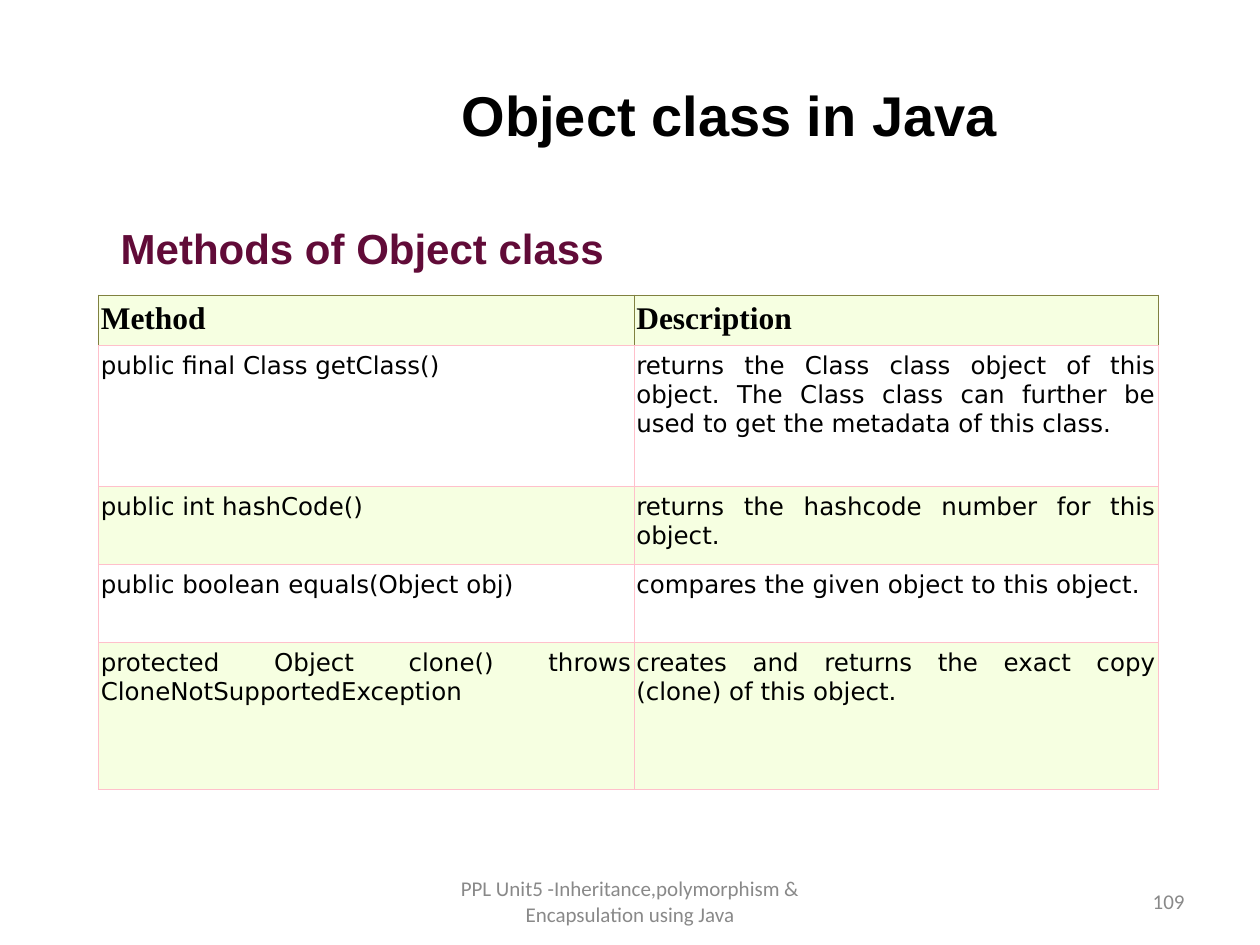
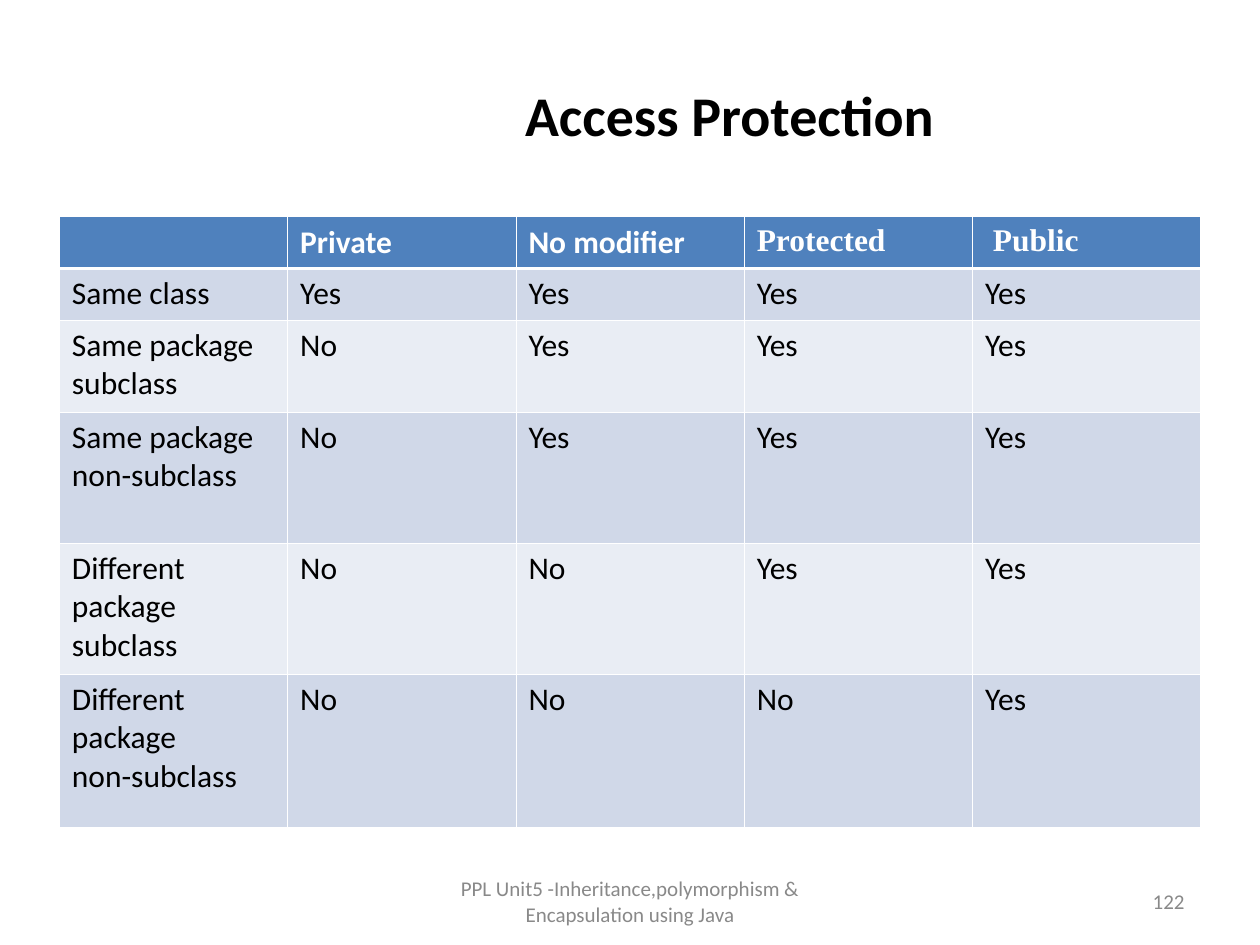
from lxml import etree
from pptx import Presentation
from pptx.dml.color import RGBColor
from pptx.enum import text
from pptx.oxml import ns
from pptx.util import Pt

COLOURS = {
    "black": "000000", "white": "FFFFFF", "footer": "898989", "plum": "610B38",
    "cream": "F6FFE1", "olive": "808140", "pink": "FFC0CB",
    "blue": "4F81BD", "blue band": "D0D8E8", "pale band": "E9EDF4",
}
ALIGN, ANCHOR = text.PP_ALIGN, text.MSO_ANCHOR
FOOTER = "PPL Unit5 -Inheritance,polymorphism & Encapsulation using Java"

FORMATS = {
    "title": {"name": "Arial", "size": 32, "bold": True, "colour": "black"},
    "subtitle": {"name": "Arial", "size": 24, "bold": True, "colour": "plum"},
    "footer": {"name": "Calibri", "size": 12, "bold": False, "colour": "footer"},
    "method header": {"name": "Times New Roman", "size": 18, "bold": True, "colour": "black"},
    "method": {"name": "DejaVu Sans", "size": 14, "bold": False, "colour": "black"},
    "access header": {"name": "Calibri", "size": 18, "bold": True, "colour": "white"},
    "access": {"name": "Calibri", "size": 18, "bold": False, "colour": "black"},
}

METHODS = [
    ("Method", "Description"),
    ("public final Class getClass()",
     "returns the Class class object of this object. The Class class can further "
     "be used to get the metadata of this class."),
    ("public int hashCode()", "returns the hashcode number for this object."),
    ("public boolean equals(Object obj)", "compares the given object to this object."),
    ("protected Object clone() throws CloneNotSupportedException",
     "creates and returns the exact copy (clone) of this object."),
]
ACCESS = [
    ("", "Private", "No modifier", "Protected", "Public"),
    ("Same class", "Yes", "Yes", "Yes", "Yes"),
    ("Same package\nsubclass", "No", "Yes", "Yes", "Yes"),
    ("Same package\nnon-subclass", "No", "Yes", "Yes", "Yes"),
    ("Different\npackage\nsubclass", "No", "No", "Yes", "Yes"),
    ("Different\npackage\nnon-subclass", "No", "No", "No", "Yes"),
]


def format_text(frame, format_name, align=ALIGN.LEFT, **changes):
    values = {**FORMATS[format_name], **changes}
    colour = RGBColor.from_string(COLOURS[values.pop("colour")])
    values["size"] = Pt(values["size"])
    for paragraph in frame.paragraphs:
        paragraph.alignment = align
        for font in [paragraph.font] + [run.font for run in paragraph.runs]:
            for name, value in values.items():
                setattr(font, name, value)
            font.color.rgb = colour


def add_text(slide, words, box, format_name, align, anchor=ANCHOR.MIDDLE):
    frame = slide.shapes.add_textbox(*map(Pt, box)).text_frame
    frame.text = words
    frame.word_wrap = True
    frame.vertical_anchor = anchor
    format_text(frame, format_name, align)


def add_slide(presentation, title, number, **title_changes):
    slide = presentation.slides.add_slide(presentation.slide_layouts[5])
    shape = slide.shapes.title
    shape.left, shape.top, shape.width, shape.height = map(Pt, (150.5, 20, 533, 90))
    shape.text_frame.text = title
    shape.text_frame.vertical_anchor = ANCHOR.MIDDLE
    format_text(shape.text_frame, "title", ALIGN.CENTER, **title_changes)
    add_text(slide, FOOTER, (246, 500.5, 228, 28.8), "footer", ALIGN.CENTER)
    add_text(slide, str(number), (516, 500.5, 168, 28.8), "footer", ALIGN.RIGHT)
    return slide


def set_borders(cell, **sides):
    """Draw each side (L, R, T, B) from a (colour, width) pair."""
    properties = cell._tc.get_or_add_tcPr()
    for side, (colour, width) in sides.items():
        line = etree.SubElement(properties, ns.qn(f"a:ln{side}"), w=str(Pt(width)))
        fill = etree.SubElement(line, ns.qn("a:solidFill"))
        etree.SubElement(fill, ns.qn("a:srgbClr"), val=COLOURS[colour])


def add_grid(slide, rows, corner, widths, heights, style):
    table = slide.shapes.add_table(
        len(rows), len(widths), *map(Pt, (*corner, sum(widths), sum(heights)))).table
    table.first_row = table.horz_banding = False
    for column, width in zip(table.columns, widths):
        column.width = Pt(width)
    for index, (row, height, words) in enumerate(zip(table.rows, heights, rows)):
        row.height = Pt(height)
        kind = "header" if index == 0 else "body"
        outer = style[f"{kind} line"]
        sides = {"L": outer, "R": outer, "T": outer, "B": outer}
        if index < 2:
            sides["B" if index == 0 else "T"] = style["header rule"]
        fill = style["bands"][(index - 1) % 2] if index else style["header fill"]
        for cell, value in zip(row.cells, words):
            cell.text = value
            cell.margin_left = cell.margin_right = Pt(style["margin"])
            set_borders(cell, **sides)
            cell.fill.solid()
            cell.fill.fore_color.rgb = RGBColor.from_string(COLOURS[fill])
            format_text(cell.text_frame, style[f"{kind} text"], style[f"{kind} align"])
    return table


METHOD_STYLE = {
    "margin": 1.4, "header fill": "cream", "bands": ("white", "cream"),
    "header line": ("olive", 0.34), "body line": ("pink", 0.34),
    "header rule": ("pink", 0.34),
    "header text": "method header", "body text": "method",
    "header align": ALIGN.LEFT, "body align": ALIGN.JUSTIFY,
}
ACCESS_STYLE = {
    "margin": 7.2, "header fill": "blue", "bands": ("blue band", "pale band"),
    "header line": ("white", 0.45), "body line": ("white", 0.45),
    "header rule": ("white", 1.47),
    "header text": "access header", "body text": "access",
    "header align": ALIGN.LEFT, "body align": ALIGN.LEFT,
}


def main():
    presentation = Presentation()
    presentation.slide_width, presentation.slide_height = Pt(720), Pt(540)

    slide = add_slide(presentation, "Object class in Java", 109)
    add_grid(slide, METHODS, (56.2, 168.5), (306, 299.5),
             (24, 80.6, 44.6, 44.6, 84.2), METHOD_STYLE)
    add_text(slide, "Methods of Object class", (61.9, 123.8, 320.4, 36),
             "subtitle", ALIGN.JUSTIFY, ANCHOR.TOP)

    slide = add_slide(presentation, "Access Protection", 122, name="Calibri")
    table = add_grid(slide, ACCESS, (33.9, 123.9), [130.46] * 5,
                     (29.5, 29.5, 52.5, 74.9, 74.9, 87.8), ACCESS_STYLE)
    for column in (3, 4):
        format_text(table.cell(0, column).text_frame, "access header", name="Times New Roman")
    table.cell(0, 4).margin_left = Pt(11.7)

    presentation.save("out.pptx")


if __name__ == "__main__":
    main()
